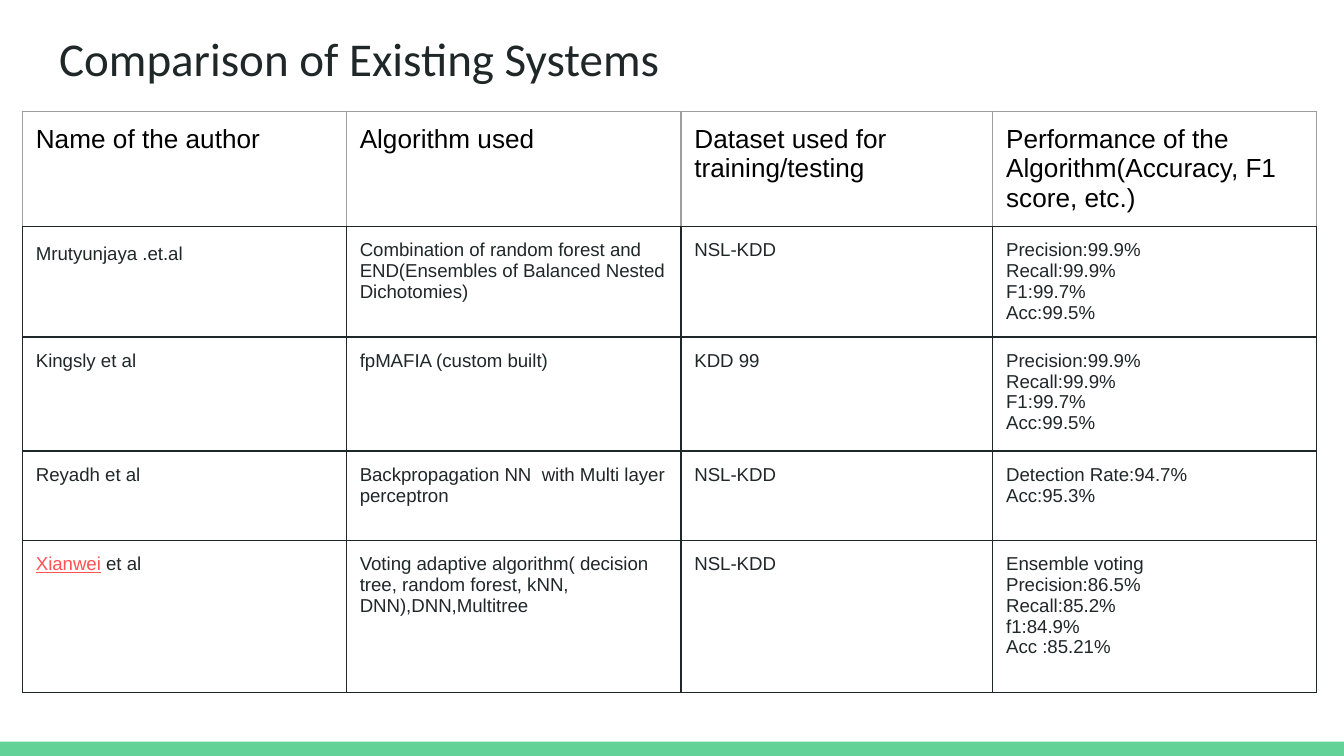
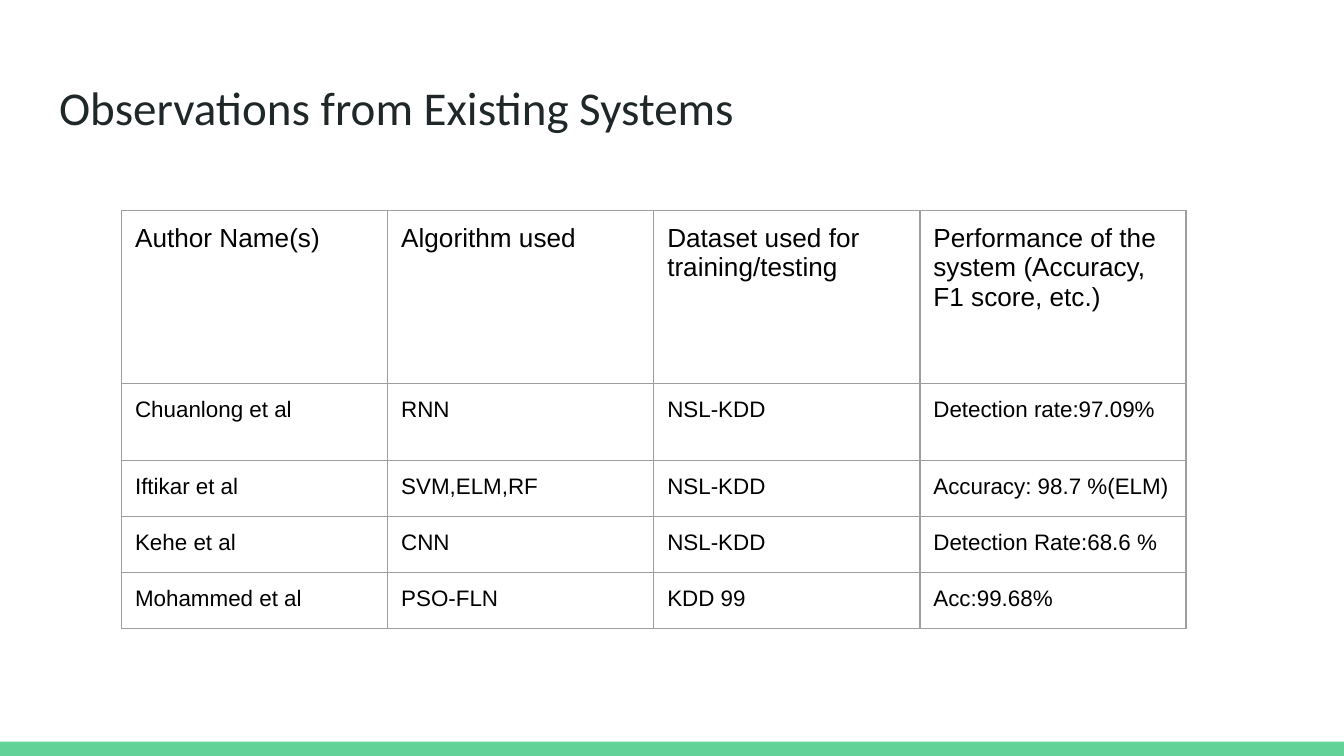
from lxml import etree
from pptx import Presentation
from pptx import util as u
from pptx.dml.color import RGBColor
from pptx.enum import shapes, text
from pptx.oxml.ns import qn

GREEN = RGBColor(0x63, 0xD2, 0x97)
INK = RGBColor(0x20, 0x27, 0x29)
BLACK = RGBColor(0, 0, 0)
GRAY = RGBColor(0x9E, 0x9E, 0x9E)
RED = RGBColor(0xFF, 0x52, 0x52)

W = u.Inches(10)
H = W * 9 // 16
PCT_W, PCT_H = W / 100, H / 100
PAD = u.Inches(0.1)


def write(para, words, size=10, font="Arial", color=INK, line=False):
    run = para.add_run()
    run.text = words
    run.font.size = u.Pt(size)
    run.font.name = font
    run.font.color.rgb = color
    run.font.bold = False
    run.font.underline = line


def edge(cell, side, color):
    """Draw one border; side is L, R, T or B, called in that order."""
    props = cell._tc.get_or_add_tcPr()
    line = etree.SubElement(props, qn("a:ln" + side), w=str(u.Pt(0.75)))
    fill = etree.SubElement(line, qn("a:solidFill"))
    etree.SubElement(fill, qn("a:srgbClr"), val=str(color))


# Lengths are percent of the slide's width (left, cols) or height (top, rows).
pages = [
    dict(
        title="Comparison of Existing Systems", title_box=(2.1, 8.7),
        left=1.67, top=14.73, cols=[24.1, 24.9, 23.2, 24.1],
        rows=[15.25, 14.55, 15.1, 11.8, 20.1],
        size=10, color=INK, rule=INK,
        data=[
            ["Name of the author", "Algorithm used",
             "Dataset used for training/testing",
             "Performance of the Algorithm(Accuracy, F1 score, etc.)"],
            ["Mrutyunjaya .et.al",
             "Combination of random forest and END(Ensembles of Balanced "
             "Nested Dichotomies)",
             "NSL-KDD",
             "Precision:99.9%\nRecall:99.9%\nF1:99.7%\nAcc:99.5%"],
            ["Kingsly et al", "fpMAFIA (custom built)", "KDD 99",
             "Precision:99.9%\nRecall:99.9%\nF1:99.7%\nAcc:99.5%"],
            ["Reyadh et al",
             "Backpropagation NN  with Multi layer perceptron",
             "NSL-KDD", "Detection Rate:94.7%\nAcc:95.3%"],
            ["Xianwei et al",
             "Voting adaptive algorithm( decision tree, random forest, kNN, "
             "DNN),DNN,Multitree",
             "NSL-KDD",
             "Ensemble voting\nPrecision:86.5%\nRecall:85.2%\nf1:84.9%\n"
             "Acc :85.21%"],
        ],
    ),
    dict(
        title="Observations from Existing Systems", title_box=(8.65, 11.2),
        left=9.05, top=27.8, cols=[19.8] * 4,
        rows=[22.9, 10.2] + [7.41] * 3,
        size=12, color=BLACK, rule=GRAY,
        data=[
            ["Author Name(s)", "Algorithm used",
             "Dataset used for training/testing",
             "Performance of the system (Accuracy, F1 score, etc.)"],
            ["Chuanlong et al", "RNN", "NSL-KDD", "Detection rate:97.09%"],
            ["Iftikar et al", "SVM,ELM,RF", "NSL-KDD",
             "Accuracy: 98.7 %(ELM)"],
            ["Kehe et al", "CNN", "NSL-KDD", "Detection Rate:68.6 %"],
            ["Mohammed et al", "PSO-FLN", "KDD 99", "Acc:99.68%"],
        ],
    ),
]

prs = Presentation()
prs.slide_width, prs.slide_height = W, H
grids = []

for page in pages:
    slide = prs.slides.add_slide(prs.slide_layouts[5])

    title = slide.shapes.title
    top, tall = page["title_box"]
    title.left, title.width = int(3.4 * PCT_W), int(93.2 * PCT_W)
    title.top, title.height = int(top * PCT_H), int(tall * PCT_H)
    frame = title.text_frame
    frame.margin_left = frame.margin_right = PAD
    frame.margin_top = frame.margin_bottom = PAD
    frame.vertical_anchor = text.MSO_ANCHOR.TOP
    frame.auto_size = text.MSO_AUTO_SIZE.NONE
    frame.word_wrap = True
    frame.paragraphs[0].alignment = text.PP_ALIGN.LEFT
    write(frame.paragraphs[0], page["title"], size=25.2, font="Calibri")

    cols, rows = page["cols"], page["rows"]
    grid = slide.shapes.add_table(
        len(rows), len(cols), int(page["left"] * PCT_W),
        int(page["top"] * PCT_H), int(sum(cols) * PCT_W),
        int(sum(rows) * PCT_H)).table
    grid.first_row = grid.horz_banding = False
    grids.append(grid)
    for col, wide in zip(grid.columns, cols):
        col.width = int(wide * PCT_W)
    for row, tall in zip(grid.rows, rows):
        row.height = int(tall * PCT_H)

    for r, line in enumerate(page["data"]):
        head = r == 0
        for c, words in enumerate(line):
            cell = grid.cell(r, c)
            cell.margin_left = cell.margin_right = PAD
            cell.margin_top = cell.margin_bottom = PAD
            for side in "LRTB":
                gray = head and side != "B"
                edge(cell, side, GRAY if gray else page["rule"])
            cell.fill.background()
            for n, part in enumerate(words.split("\n")):
                frame = cell.text_frame
                para = frame.add_paragraph() if n else frame.paragraphs[0]
                if part.startswith("Xianwei"):
                    name, part = part[:7], part[7:]
                    write(para, name, color=RED, line=True)
                write(para, part, size=14 if head else page["size"],
                      color=BLACK if head else page["color"])

first = grids[0].cell(1, 0).text_frame.paragraphs[0]
first.line_spacing, first.space_after = 1.15, u.Pt(12)

# The footer band is drawn once, then moved to the master behind all else.
band = prs.slides[0].shapes.add_shape(
    shapes.MSO_SHAPE.RECTANGLE, 0, int(98.1 * PCT_H), W, int(1.9 * PCT_H))
band.shadow.inherit = False
band.fill.solid()
band.fill.fore_color.rgb = GREEN
band.line.fill.background()
band.element.nvSpPr.cNvPr.id = 99
prs.slide_master.shapes.element.insert(2, band.element)

prs.save("out.pptx")
